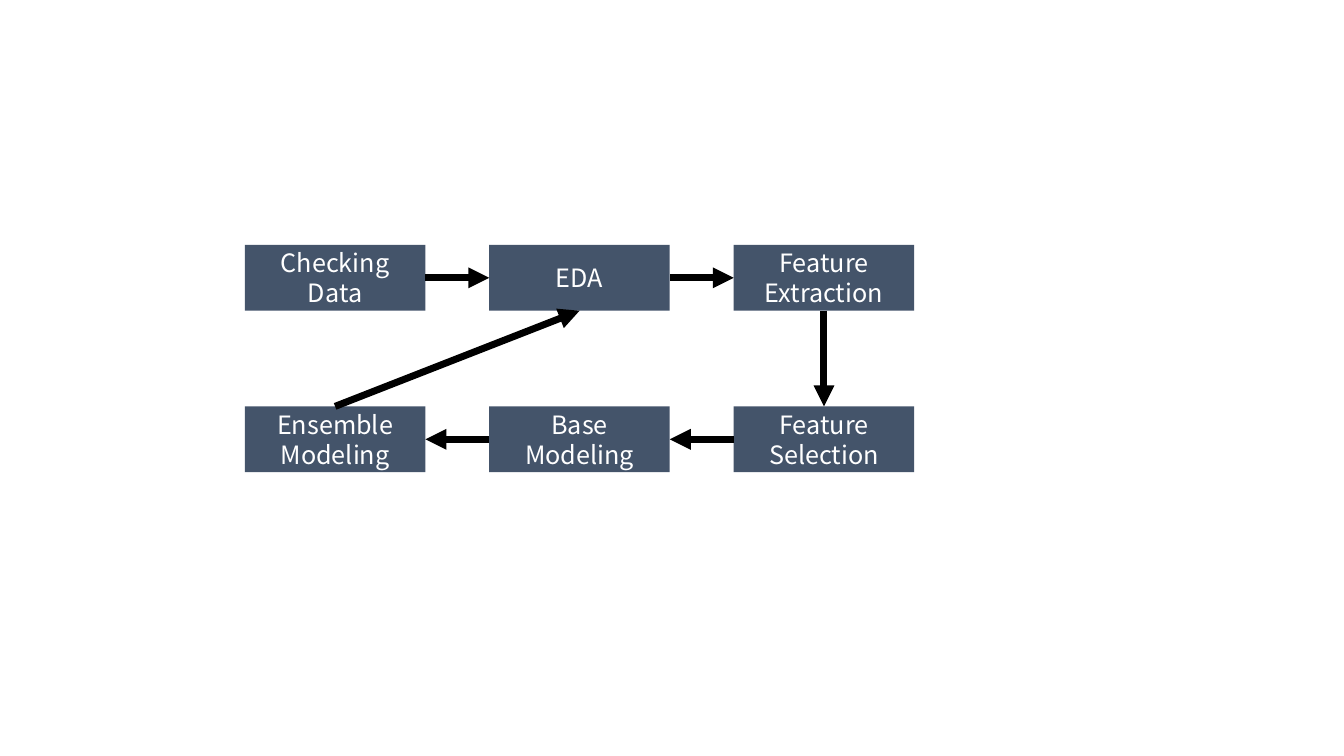
from itertools import pairwise

from lxml.etree import SubElement
from pptx import Presentation
from pptx.dml.color import RGBColor
from pptx.enum.shapes import MSO_CONNECTOR, MSO_SHAPE
from pptx.enum.text import MSO_ANCHOR, PP_ALIGN
from pptx.oxml.ns import qn
from pptx.util import Cm, Pt

FONT = "Noto Sans CJK KR"
LEFT, TOP = 6.17, 6.17
BOX_W, BOX_H = 4.55, 1.66
STEP_X, STEP_Y = 6.16, 4.07
TOP_SIDE, LEFT_SIDE, BOTTOM_SIDE, RIGHT_SIDE = range(4)

STEPS = [
    ("Checking Data", 0, 0),
    ("EDA", 1, 0),
    ("Feature Extraction", 2, 0),
    ("Feature Selection", 2, 1),
    ("Base Modeling", 1, 1),
    ("Ensemble Modeling", 0, 1),
]
SIDES = [
    (RIGHT_SIDE, LEFT_SIDE),
    (RIGHT_SIDE, LEFT_SIDE),
    (BOTTOM_SIDE, TOP_SIDE),
    (LEFT_SIDE, RIGHT_SIDE),
    (LEFT_SIDE, RIGHT_SIDE),
    (TOP_SIDE, BOTTOM_SIDE),
]


def paint(color_format, value):
    """Set a colour from a hex string."""
    color_format.rgb = RGBColor.from_string(value)


def add_step(slide, text, column, row):
    """Add a labelled process box at a grid position."""
    s = slide.shapes.add_shape(
        MSO_SHAPE.RECTANGLE,
        Cm(LEFT + column * STEP_X), Cm(TOP + row * STEP_Y),
        Cm(BOX_W), Cm(BOX_H),
    )
    s.shadow.inherit = False
    s.fill.solid()
    paint(s.fill.fore_color, "44546A")
    s.line.fill.background()
    tf = s.text_frame
    tf.word_wrap = True
    tf.vertical_anchor = MSO_ANCHOR.MIDDLE
    p = tf.paragraphs[0]
    p.text = text
    p.alignment = PP_ALIGN.CENTER
    p.font.name = FONT
    p.font.size = Pt(18)
    paint(p.font.color, "FFFFFF")
    return s


def add_arrow(slide, start, start_side, end, end_side):
    """Connect two boxes with a thick arrow."""
    s = slide.shapes.add_connector(MSO_CONNECTOR.STRAIGHT, 0, 0, 0, 0)
    s.begin_connect(start, start_side)
    s.end_connect(end, end_side)
    s.line.width = Pt(5)
    s.line.fill.solid()
    paint(s.line.fill.fore_color, "000000")
    props = s._element.spPr
    SubElement(props.find(qn("a:ln")), qn("a:tailEnd"), type="triangle")
    SubElement(props, qn("a:effectLst"))


def main():
    """Build the modelling workflow slide."""
    prs = Presentation()
    prs.slide_width, prs.slide_height = Cm(33.87), Cm(19.05)
    slide = prs.slides.add_slide(prs.slide_layouts[6])
    boxes = [add_step(slide, *step) for step in STEPS]
    eda = boxes[1]
    links = pairwise(boxes + [eda])
    for (start, end), (start_side, end_side) in zip(links, SIDES):
        add_arrow(slide, start, start_side, end, end_side)
    prs.save("out.pptx")


main()
